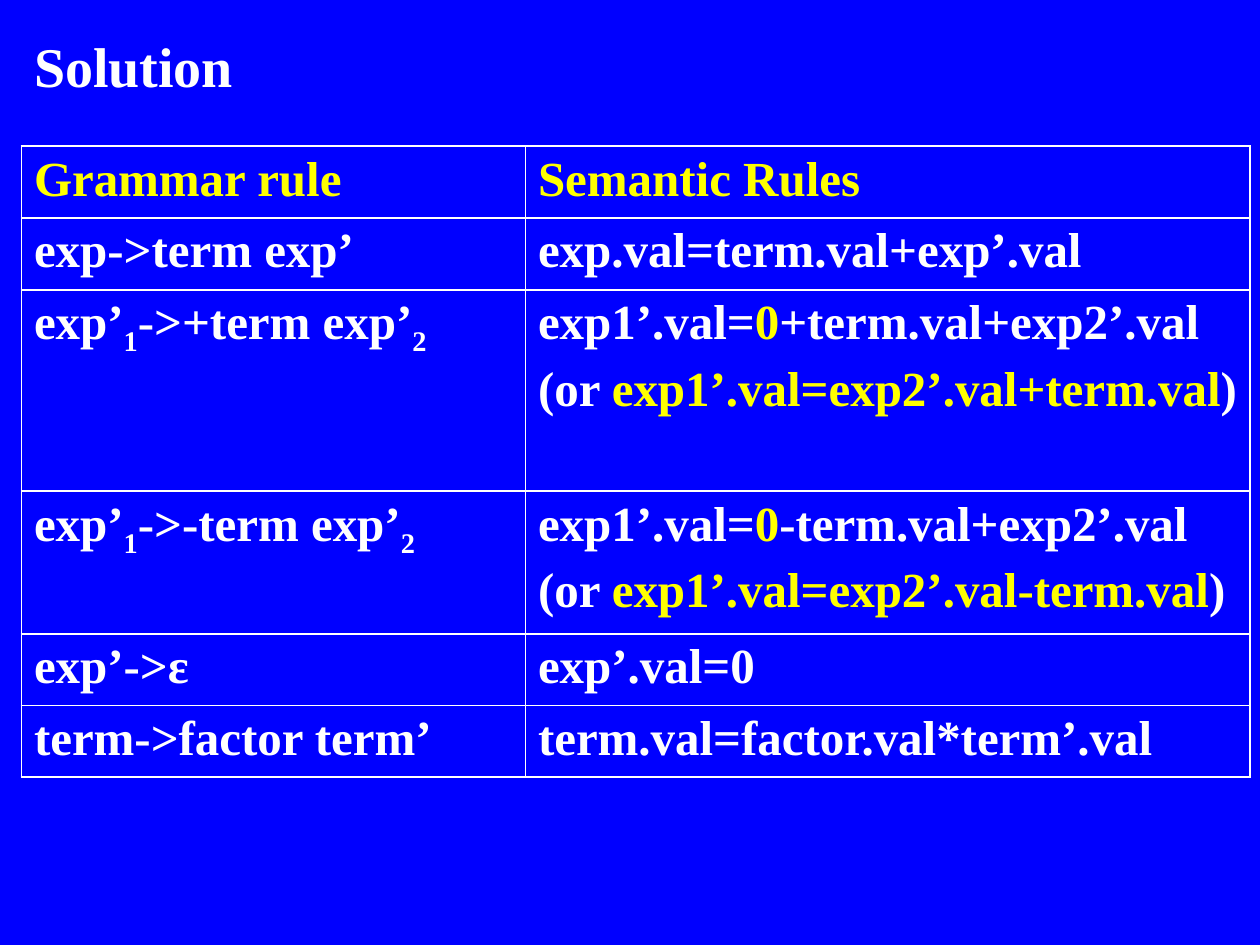
from lxml.etree import SubElement
from pptx import Presentation
from pptx.dml.color import RGBColor
from pptx.enum.text import MSO_ANCHOR, MSO_AUTO_SIZE, PP_ALIGN
from pptx.oxml.ns import qn
from pptx.util import Inches, Pt

BLUE, WHITE, YELLOW = "0000FF", "FFFFFF", "FFFF00"
FONT = "Times New Roman"
COLUMN_WIDTHS = [4, 5.75]
ROW_HEIGHTS = [0.57, 0.57, 1.6, 1.13, 0.57, 0.57]


def color(hex_code):
    """Turn a hex string into a colour."""
    return RGBColor.from_string(hex_code)


def format_run(run, size, hex_code=WHITE, subscript=False):
    """Give a run the bold serif look of the slide."""
    font = run.font
    font.name, font.size, font.bold = FONT, Pt(size), True
    font.color.rgb = color(hex_code)
    if subscript:
        run._r.get_or_add_rPr().set("baseline", "-25000")


def add_heading(slide, wording):
    """Place the heading in the title placeholder."""
    heading = slide.shapes.title
    heading.left, heading.top = Inches(0.17), Inches(0.18)
    heading.width, heading.height = Inches(9.42), Inches(0.67)
    frame = heading.text_frame
    frame.text = wording
    frame.auto_size = MSO_AUTO_SIZE.NONE
    frame.vertical_anchor = MSO_ANCHOR.MIDDLE
    paragraph = frame.paragraphs[0]
    paragraph.alignment = PP_ALIGN.LEFT
    format_run(paragraph.runs[0], 32)


def add_borders(cell):
    """Draw a thin white line on each side of a cell."""
    properties = cell._tc.get_or_add_tcPr()
    for position, side in enumerate(("a:lnL", "a:lnR", "a:lnT", "a:lnB")):
        line = SubElement(properties, qn(side), w=str(Pt(1.08)))
        fill = SubElement(line, qn("a:solidFill"))
        SubElement(fill, qn("a:srgbClr"), val=WHITE)
        properties.insert(position, line)


def fill_cell(cell, lines):
    """Write lines of (text, colour, subscript) pieces into a cell."""
    cell.fill.background()
    add_borders(cell)
    frame = cell.text_frame
    for index, pieces in enumerate(lines):
        paragraph = frame.add_paragraph() if index else frame.paragraphs[0]
        paragraph.space_before = Pt(7)
        for wording, *style in pieces:
            run = paragraph.add_run()
            run.text = wording
            format_run(run, 28, *style)


def plain(wording, hex_code=WHITE):
    """Describe a cell with one line in one colour."""
    return [[(wording, hex_code)]]


def operator_row(sign):
    """Describe the grammar and semantic cells for a sign."""
    grammar = [[("exp’",), ("1", WHITE, True),
                (f"->{sign}term exp’",), ("2", WHITE, True)]]
    semantics = [
        [("exp1’.val=",), ("0", YELLOW), (f"{sign}term.val+exp2’.val",)],
        [("(or ",), (f"exp1’.val=exp2’.val{sign}term.val", YELLOW), (")",)],
    ]
    return grammar, semantics


def add_rules_table(slide, rules):
    """Add the table of grammar and semantic rules."""
    table = slide.shapes.add_table(
        len(rules), len(COLUMN_WIDTHS), Inches(0.17), Inches(1.16),
        Inches(sum(COLUMN_WIDTHS)), Inches(sum(ROW_HEIGHTS))).table
    table.horz_banding = False
    for column, width in zip(table.columns, COLUMN_WIDTHS):
        column.width = Inches(width)
    for row, height, rule in zip(table.rows, ROW_HEIGHTS, rules):
        row.height = Inches(height)
        for cell, lines in zip(row.cells, rule):
            fill_cell(cell, lines)


def main():
    """Build and save the slide."""
    presentation = Presentation()
    presentation.slide_width, presentation.slide_height = Inches(10), Inches(7.5)
    slide = presentation.slides.add_slide(presentation.slide_layouts[5])
    background = slide.background.fill
    background.solid()
    background.fore_color.rgb = color(BLUE)
    add_heading(slide, "Solution")
    add_rules_table(slide, [
        (plain("Grammar rule", YELLOW), plain("Semantic Rules", YELLOW)),
        (plain("exp->term exp’"), plain("exp.val=term.val+exp’.val")),
        operator_row("+"),
        operator_row("-"),
        (plain("exp’->ε"), plain("exp’.val=0")),
        (plain("term->factor term’"), plain("term.val=factor.val*term’.val")),
    ])
    presentation.save("out.pptx")


if __name__ == "__main__":
    main()
